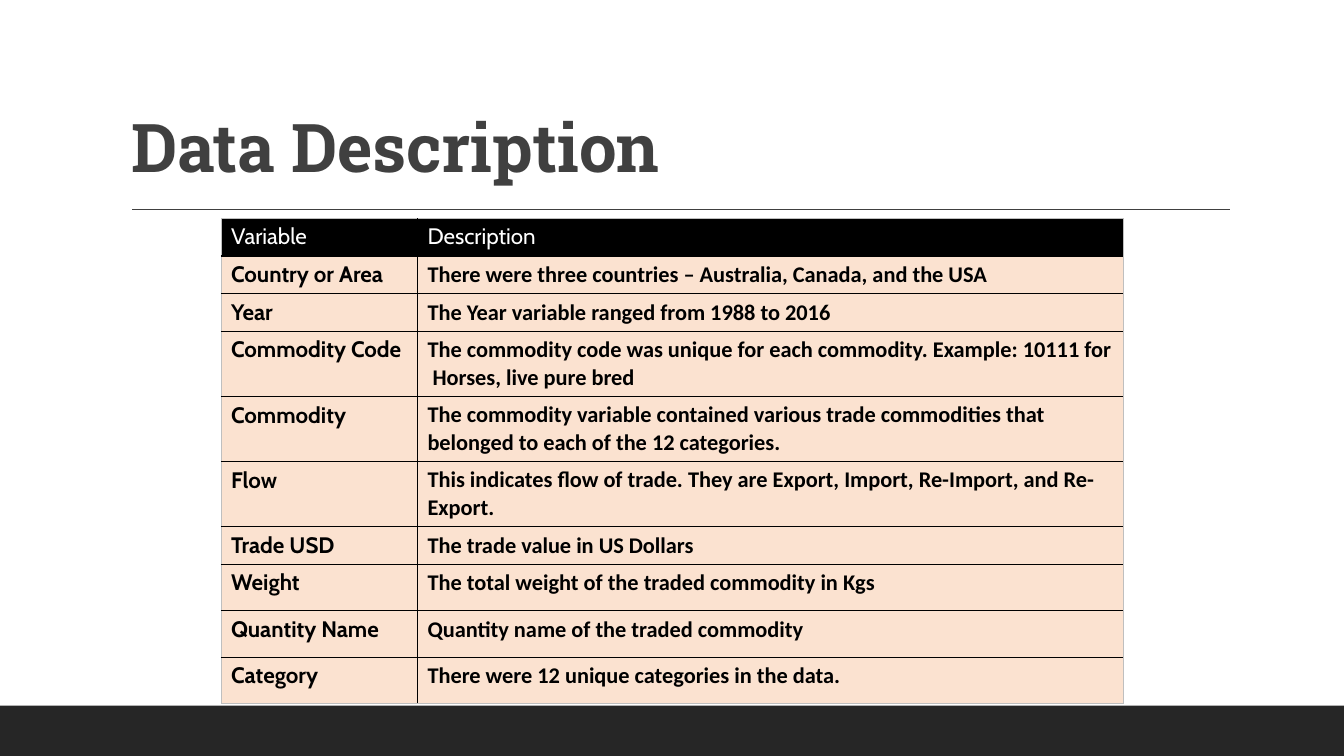
from dataclasses import dataclass

from lxml.etree import SubElement
from pptx import Presentation
from pptx.dml.color import RGBColor
from pptx.enum.shapes import MSO_CONNECTOR as Connector, MSO_SHAPE as Shape
from pptx.enum.text import MSO_ANCHOR as Anchor, MSO_AUTO_SIZE as AutoSize, PP_ALIGN as Align
from pptx.oxml.ns import qn
from pptx.util import Cm, Pt


@dataclass(frozen=True)
class Theme:
    """Colours, fonts and sizes of the slide."""
    ink: str = "404040"
    band: str = "262626"
    black: str = "000000"
    white: str = "FFFFFF"
    peach: str = "FBE2D0"
    edge: str = "BFBFBF"
    title_font: str = "Roboto Slab"
    name_font: str = "Cabin"
    text_font: str = "Calibri"
    title_size: int = 48
    table_size: int = 16
    line_width: float = 1
    edge_width: float = 0.25


THEME = Theme()
COLUMN_WIDTHS = (4.95, 17.78)
ROW_HEIGHTS = (0.95,) * 3 + (1.64,) * 3 + (0.95,) + (1.17,) * 3
VARIABLES = (
    ("Variable", "Description"),
    ("Country or Area", "There were three countries – Australia, Canada, and the USA"),
    ("Year", "The Year variable ranged from 1988 to 2016"),
    ("Commodity Code", "The commodity code was unique for each commodity. "
                       "Example: 10111 for  Horses, live pure bred"),
    ("Commodity", "The commodity variable contained various trade commodities "
                  "that belonged to each of the 12 categories."),
    ("Flow", "This indicates flow of trade. They are Export, Import, Re-Import, and Re-Export."),
    ("Trade USD", "The trade value in US Dollars"),
    ("Weight", "The total weight of the traded commodity in Kgs"),
    ("Quantity Name", "Quantity name of the traded commodity"),
    ("Category", "There were 12 unique categories in the data."),
)


def apply(target, formats):
    """Set every attribute named in the format dict."""
    for name, value in formats.items():
        setattr(target, name, value)


def paint(fill, colour):
    """Give a fill one solid colour."""
    fill.solid()
    fill.fore_color.rgb = RGBColor.from_string(colour)


def write(paragraph, text, colour, **formats):
    """Add one formatted run to a paragraph."""
    run = paragraph.add_run()
    run.text = text
    apply(run.font, formats)
    run.font.color.rgb = RGBColor.from_string(colour)
    return run


def add_band(slide, left, top, width, height):
    """Draw the dark band at the foot of the slide."""
    band = slide.shapes.add_shape(Shape.RECTANGLE, left, top, width, height)
    band.shadow.inherit = False
    paint(band.fill, THEME.band)
    band.line.fill.background()


def add_rule(slide, left, right, top):
    """Draw the thin line under the title."""
    rule = slide.shapes.add_connector(Connector.STRAIGHT, left, top, right, top)
    rule.line.width = Pt(THEME.line_width)
    rule.line.color.rgb = RGBColor.from_string(THEME.ink)
    SubElement(rule._element.spPr, qn("a:effectLst"))


def fill_title(slide, text):
    """Place and format the title placeholder."""
    title = slide.shapes.title
    apply(title, dict(left=Cm(3.05), top=Cm(0.79), width=Cm(27.94), height=Cm(4.04)))
    apply(title.text_frame, dict(vertical_anchor=Anchor.BOTTOM, word_wrap=True,
                                 auto_size=AutoSize.NONE))
    paragraph = title.text_frame.paragraphs[0]
    apply(paragraph, dict(alignment=Align.LEFT, line_spacing=0.9))
    run = write(paragraph, text, THEME.ink, name=THEME.title_font,
                size=Pt(THEME.title_size), bold=True)
    run.font._element.set("spc", "-10")


def add_borders(cell, outer_sides):
    """Draw black inner borders and pale outer ones around a cell."""
    properties = cell._tc.get_or_add_tcPr()
    for side in "LRTB":
        outer = side in outer_sides
        width = THEME.edge_width if outer else THEME.line_width
        line = SubElement(properties, qn(f"a:ln{side}"), w=str(Pt(width)))
        fill = SubElement(line, qn("a:solidFill"))
        SubElement(fill, qn("a:srgbClr"), val=THEME.edge if outer else THEME.black)


def add_variable_table(slide, left, top):
    """Build the table of variables and their descriptions."""
    frame = slide.shapes.add_table(len(VARIABLES), len(COLUMN_WIDTHS), left, top,
                                   Cm(sum(COLUMN_WIDTHS)), Cm(sum(ROW_HEIGHTS)))
    table = frame.table
    apply(table, dict(first_row=True, horz_banding=False))
    for column, width in zip(table.columns, COLUMN_WIDTHS):
        column.width = Cm(width)
    for row, height in zip(table.rows, ROW_HEIGHTS):
        row.height = Cm(height)
    for row_index, texts in enumerate(VARIABLES):
        header = row_index == 0
        for column_index, text in enumerate(texts):
            cell = table.cell(row_index, column_index)
            outer_sides = "LR"[column_index]
            outer_sides += "T" if header else ""
            outer_sides += "B" if row_index == len(VARIABLES) - 1 else ""
            add_borders(cell, outer_sides)
            paint(cell.fill, THEME.black if header else THEME.peach)
            named = header or column_index == 0
            write(cell.text_frame.paragraphs[0], text,
                  THEME.white if header else THEME.black,
                  name=THEME.name_font if named else THEME.text_font,
                  size=Pt(THEME.table_size), bold=not header)


def main():
    """Build the slide and save it."""
    presentation = Presentation()
    apply(presentation, dict(slide_width=Cm(33.87), slide_height=Cm(19.05)))
    slide = presentation.slides.add_slide(presentation.slide_layouts[5])
    paint(slide.background.fill, THEME.white)
    add_band(slide, 0, Cm(17.78), presentation.slide_width, Cm(1.27))
    add_rule(slide, Cm(3.33), Cm(31), Cm(5.28))
    fill_title(slide, "Data Description")
    add_variable_table(slide, Cm(5.57), Cm(5.5))
    presentation.save("out.pptx")


if __name__ == "__main__":
    main()
